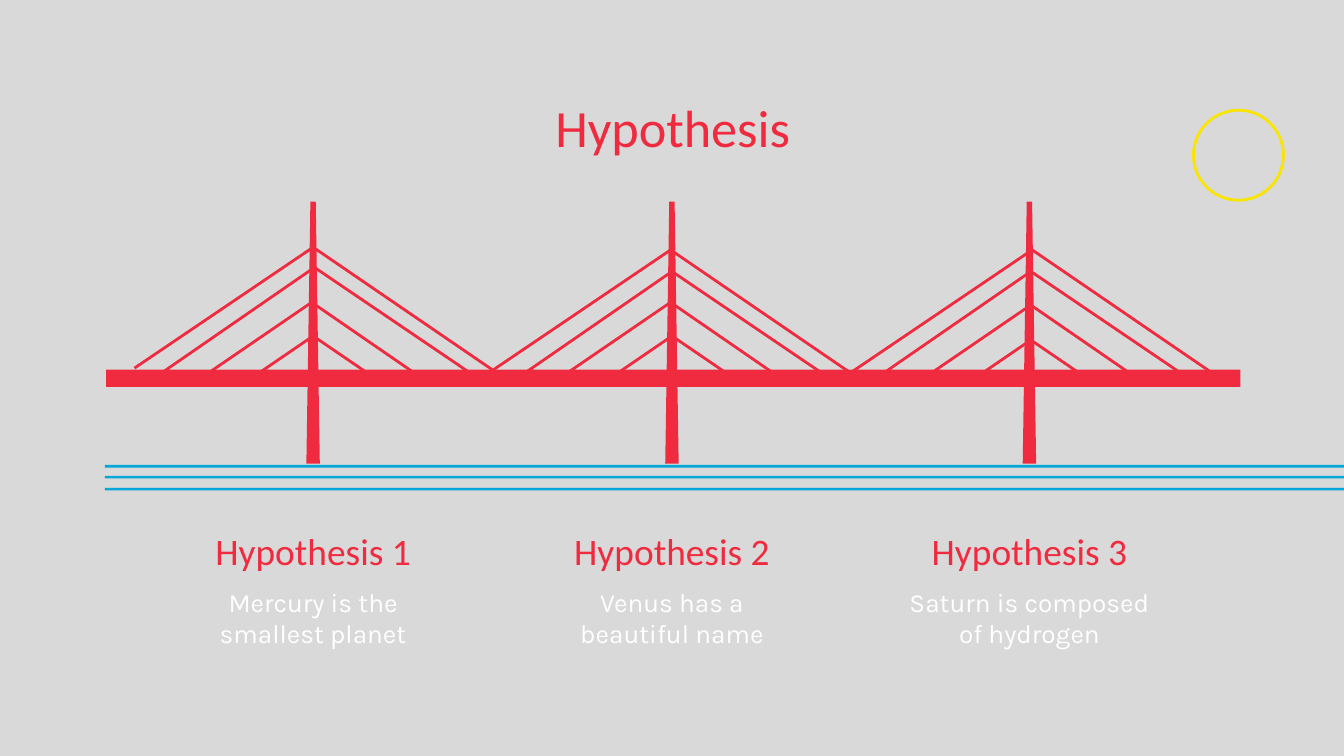
"""Build a slide of three hypotheses beneath a cable-stayed bridge."""
import dataclasses

import pptx
import pptx.dml.color
import pptx.enum.shapes
import pptx.enum.text
import pptx.util

Inches = pptx.util.Inches
COLOURS = {"background": "D9D9D9", "bridge": "F02B3F", "water": "00A6D8",
           "sun": "F9E500", "body": "FFFFFF"}


@dataclasses.dataclass(frozen=True)
class Hypothesis:
    heading: str
    body: str
    centre: float


@dataclasses.dataclass(frozen=True)
class Cable:
    left_run: float
    left_drop: float
    right_run: float
    right_drop: float
    peaks: tuple[tuple[float, float], ...]


HYPOTHESES = (
    Hypothesis("Hypothesis 1", "Mercury is the smallest planet", 2.33),
    Hypothesis("Hypothesis 2", "Venus has a beautiful name", 5),
    Hypothesis("Hypothesis 3", "Saturn is composed of hydrogen", 7.66),
)
CABLES = (
    Cable(1.33, 0.9, 1.36, 0.93, ((2.33, 1.84), (4.99, 1.86), (7.68, 1.86))),
    Cable(1.13, 0.78, 1.18, 0.8, ((2.34, 1.99), (5, 2.02), (7.67, 2.02))),
    Cable(0.76, 0.52, 0.77, 0.53, ((2.32, 2.25), (4.99, 2.25), (7.67, 2.27))),
    Cable(0.41, 0.28, 0.41, 0.28, ((2.33, 2.5), (5, 2.5), (7.67, 2.53))),
)
WATER_TOPS = (3.46, 3.54, 3.63)


def colour(name: str) -> pptx.dml.color.RGBColor:
    return pptx.dml.color.RGBColor.from_string(COLOURS[name])


def paint(shape, name: str, outlined: bool = False) -> None:
    shape.shadow.inherit = False
    if outlined:
        shape.fill.background()
        shape.line.color.rgb = colour(name)
        shape.line.width = pptx.util.Pt(1.5)
    else:
        shape.fill.solid()
        shape.fill.fore_color.rgb = colour(name)
        shape.line.fill.background()


def add_preset(page, kind, left: float, top: float, width: float,
               height: float, name: str, outlined: bool = False) -> None:
    shape = page.shapes.add_shape(kind, Inches(left), Inches(top),
                                  Inches(width), Inches(height))
    paint(shape, name, outlined)


def add_outline(page, points: list[tuple[float, float]], name: str,
                closed: bool) -> None:
    start, *rest = [(Inches(x), Inches(y)) for x, y in points]
    builder = page.shapes.build_freeform(*start)
    builder.add_line_segments(rest, close=closed)
    paint(builder.convert_to_shape(), name, outlined=not closed)


def add_text(page, text: str, left: float, top: float, width: float,
             height: float, size: int, font: str, name: str,
             spacing: float = 1.0, after: int = 0) -> None:
    box = page.shapes.add_textbox(Inches(left), Inches(top),
                                  Inches(width), Inches(height))
    frame = box.text_frame
    frame.word_wrap = True
    frame.vertical_anchor = pptx.enum.text.MSO_ANCHOR.MIDDLE
    frame.margin_left = frame.margin_right = Inches(0.1)
    frame.margin_top = frame.margin_bottom = Inches(0.1)
    frame.text = text
    para = frame.paragraphs[0]
    para.alignment = pptx.enum.text.PP_ALIGN.CENTER
    para.line_spacing = spacing
    para.space_after = pptx.util.Pt(after)
    span = para.runs[0]
    span.font.name = font
    span.font.size = pptx.util.Pt(size)
    span.font.color.rgb = colour(name)


def add_tower(page, centre: float) -> None:
    points = [(centre - 0.05, 3.45), (centre + 0.05, 3.45),
              (centre + 0.02, 1.5), (centre - 0.02, 1.5)]
    add_outline(page, points, "bridge", closed=True)


def add_cable(page, cable: Cable) -> None:
    for x, y in cable.peaks:
        points = [(x - cable.left_run, y + cable.left_drop), (x, y),
                  (x + cable.right_run, y + cable.right_drop)]
        add_outline(page, points, "bridge", closed=False)


def main() -> None:
    deck = pptx.Presentation()
    deck.slide_width = Inches(10)
    deck.slide_height = deck.slide_width * 9 // 16
    page = deck.slides.add_slide(deck.slide_layouts[6])
    page.background.fill.solid()
    page.background.fill.fore_color.rgb = colour("background")
    shapes = pptx.enum.shapes.MSO_SHAPE

    add_text(page, "Hypothesis", 0.79, 0.59, 8.43, 0.63, 28, "Calibri",
             "bridge", spacing=1.15)
    for item in HYPOTHESES:
        left = item.centre - 1.01
        add_text(page, item.heading, left, 3.85, 2.02, 0.5, 20, "Calibri",
                 "bridge", after=12)
        add_text(page, item.body, left, 4.33, 2.02, 0.53, 14, "Karla", "body")

    for top in WATER_TOPS:
        add_preset(page, shapes.RECTANGLE, 0.78, top, 9.22, 0.02, "water")
    for item in HYPOTHESES:
        add_tower(page, item.centre)
    add_preset(page, shapes.RECTANGLE, 0.79, 2.75, 8.44, 0.13, "bridge")
    for cable in CABLES:
        add_cable(page, cable)
    add_preset(page, shapes.OVAL, 8.88, 0.82, 0.67, 0.67, "sun", outlined=True)
    deck.save("out.pptx")


if __name__ == "__main__":
    main()
